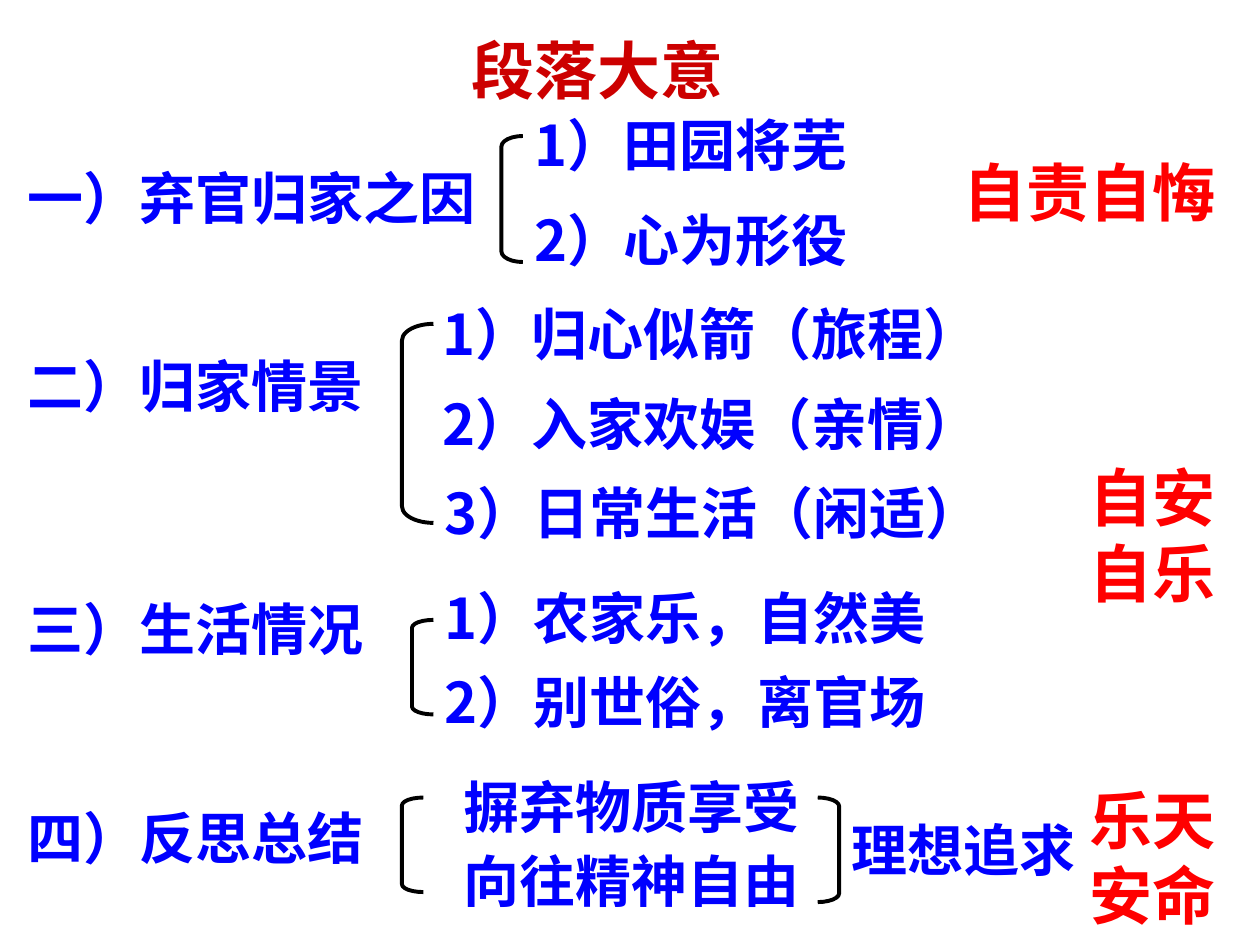
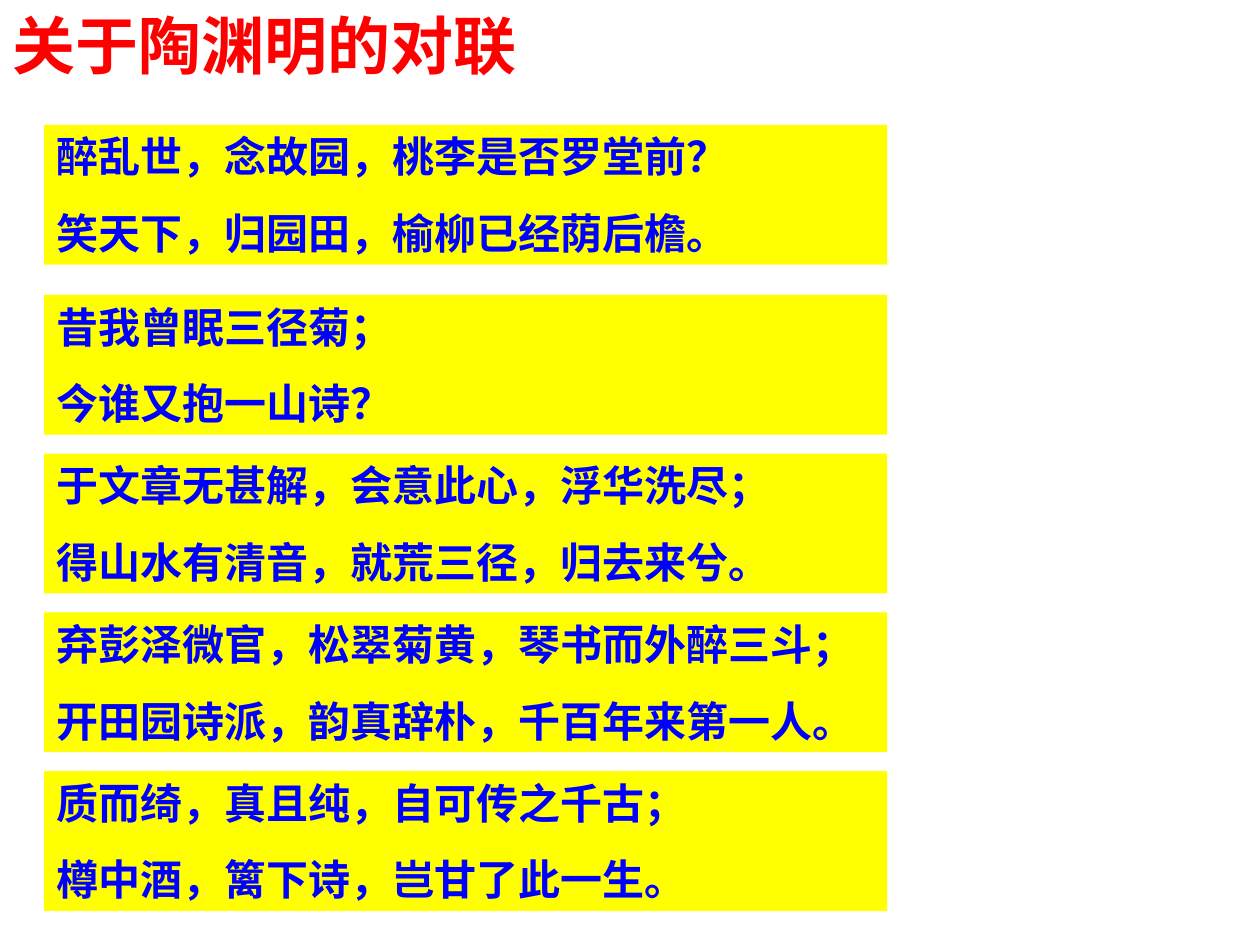
from lxml.etree import SubElement
from pptx import Presentation
from pptx.dml.color import RGBColor
from pptx.enum.lang import MSO_LANGUAGE_ID
from pptx.enum.shapes import MSO_SHAPE
from pptx.enum.text import MSO_ANCHOR, MSO_AUTO_SIZE, PP_ALIGN
from pptx.oxml.ns import qn
from pptx.util import Inches, Pt

DARK_RED = RGBColor(0xCC, 0x00, 0x00)
RED = RGBColor(0xFF, 0x00, 0x00)
BLUE = RGBColor(0x00, 0x00, 0xFF)
YELLOW = RGBColor(0xFF, 0xFF, 0x00)
WHITE = RGBColor(0xFF, 0xFF, 0xFF)
BLACK = RGBColor(0x00, 0x00, 0x00)
CHINESE_FONT = "Noto Sans CJK SC"
LATIN_FONT = "Arial"


def add_text(slide, text, left, top, width, height, size=32, color=BLUE,
             font_name=LATIN_FONT, fill=None, wrap=True, space_before=0,
             align=PP_ALIGN.LEFT, anchor=MSO_ANCHOR.TOP,
             auto_size=MSO_AUTO_SIZE.SHAPE_TO_FIT_TEXT):
    shape = slide.shapes.add_textbox(
        Inches(left), Inches(top), Inches(width), Inches(height))
    if fill is not None:
        shape.fill.solid()
        shape.fill.fore_color.rgb = fill
    frame = shape.text_frame
    frame.word_wrap = wrap
    frame.auto_size = auto_size
    frame.vertical_anchor = anchor
    for index, line in enumerate(text.split("\n")):
        paragraph = frame.paragraphs[0] if index == 0 else frame.add_paragraph()
        paragraph.alignment = align
        if index > 0:
            paragraph.space_before = Pt(space_before)
        run = paragraph.add_run()
        run.text = line
        run.font.size = Pt(size)
        run.font.bold = True
        run.font.color.rgb = color
        run.font.name = font_name
        run.font.language_id = MSO_LANGUAGE_ID.SIMPLIFIED_CHINESE
        SubElement(run.font._element, qn("a:ea"), typeface=CHINESE_FONT)


presentation = Presentation()
presentation.slide_width = Inches(10)
presentation.slide_height = Inches(7.5)
blank_layout = presentation.slide_layouts[6]

outline_slide = presentation.slides.add_slide(blank_layout)
add_text(outline_slide, "段落大意", 3.08, -0.07, 3.33, 1.24, size=36,
         color=DARK_RED, align=PP_ALIGN.CENTER, anchor=MSO_ANCHOR.MIDDLE,
         auto_size=MSO_AUTO_SIZE.NONE)

outline_items = [
    ("一）弃官归家之因", 0.12, 1.25, 3.76),
    ("1）田园将芜", 4.14, 0.83, 2.8),
    ("2）心为形役", 4.14, 1.58, 2.8),
    ("二）归家情景", 0.12, 2.74, 2.87),
    ("1）归心似箭（旅程）", 3.41, 2.33, 4.58),
    ("2）入家欢娱（亲情）", 3.41, 3.04, 4.58),
    ("3）日常生活（闲适）", 3.43, 3.75, 4.58),
    ("三）生活情况", 0.12, 4.67, 2.87),
    ("1）农家乐，自然美", 3.43, 4.58, 4.13),
    ("2）别世俗，离官场", 3.43, 5.25, 4.13),
    ("四）反思总结", 0.12, 6.33, 2.87),
    ("摒弃物质享受", 3.58, 6.08, 2.87),
    ("向往精神自由", 3.58, 6.67, 2.87),
    ("理想追求", 6.66, 6.42, 1.98),
]
for text, left, top, width in outline_items:
    add_text(outline_slide, text, left, top, width, 0.64,
             font_name=CHINESE_FONT, wrap=False)

brackets = [
    (MSO_SHAPE.LEFT_BRACKET, 3.98, 1.08, 0.17, 1),
    (MSO_SHAPE.LEFT_BRACKET, 3.19, 2.57, 0.25, 1.58),
    (MSO_SHAPE.LEFT_BRACKET, 3.27, 4.92, 0.17, 0.75),
    (MSO_SHAPE.LEFT_BRACKET, 3.19, 6.33, 0.17, 0.75),
    (MSO_SHAPE.RIGHT_BRACKET, 6.49, 6.33, 0.17, 0.83),
]
for kind, left, top, width, height in brackets:
    bracket = outline_slide.shapes.add_shape(
        kind, Inches(left), Inches(top), Inches(width), Inches(height))
    bracket.adjustments[0] = height / 12 / width
    bracket.shadow.inherit = False
    bracket.fill.background()
    bracket.line.color.rgb = BLACK
    bracket.line.width = Pt(2.25)

moods = [
    ("自责自悔", 7.55, 1.17, 2.33, 0.7),
    ("自安自乐", 8.55, 3.59, 1.33, 1.3),
    ("乐天安命", 8.55, 6.15, 1.25, 1.3),
]
for text, left, top, width, height in moods:
    add_text(outline_slide, text, left, top, width, height, size=36, color=RED)

couplet_slide = presentation.slides.add_slide(blank_layout)
add_text(couplet_slide, "关于陶渊明的对联", 0, 0, 4.37, 0.7,
         size=36, color=RED, fill=WHITE)

couplets = [
    "醉乱世，念故园，桃李是否罗堂前？\n笑天下，归园田，榆柳已经荫后檐。",
    "昔我曾眠三径菊；\n今谁又抱一山诗？",
    "于文章无甚解，会意此心，浮华洗尽；\n得山水有清音，就荒三径，归去来兮。",
    "弃彭泽微官，松翠菊黄，琴书而外醉三斗；\n开田园诗派，韵真辞朴，千百年来第一人。",
    "质而绮，真且纯，自可传之千古；\n樽中酒，篱下诗，岂甘了此一生。",
]
couplet_tops = [0.99] + [2.34 + 1.26 * step for step in range(4)]
for couplet, top in zip(couplets, couplet_tops):
    add_text(couplet_slide, couplet, 0.35, top, 6.69, 1.11,
             size=24, fill=YELLOW, space_before=15)

presentation.save("out.pptx")
